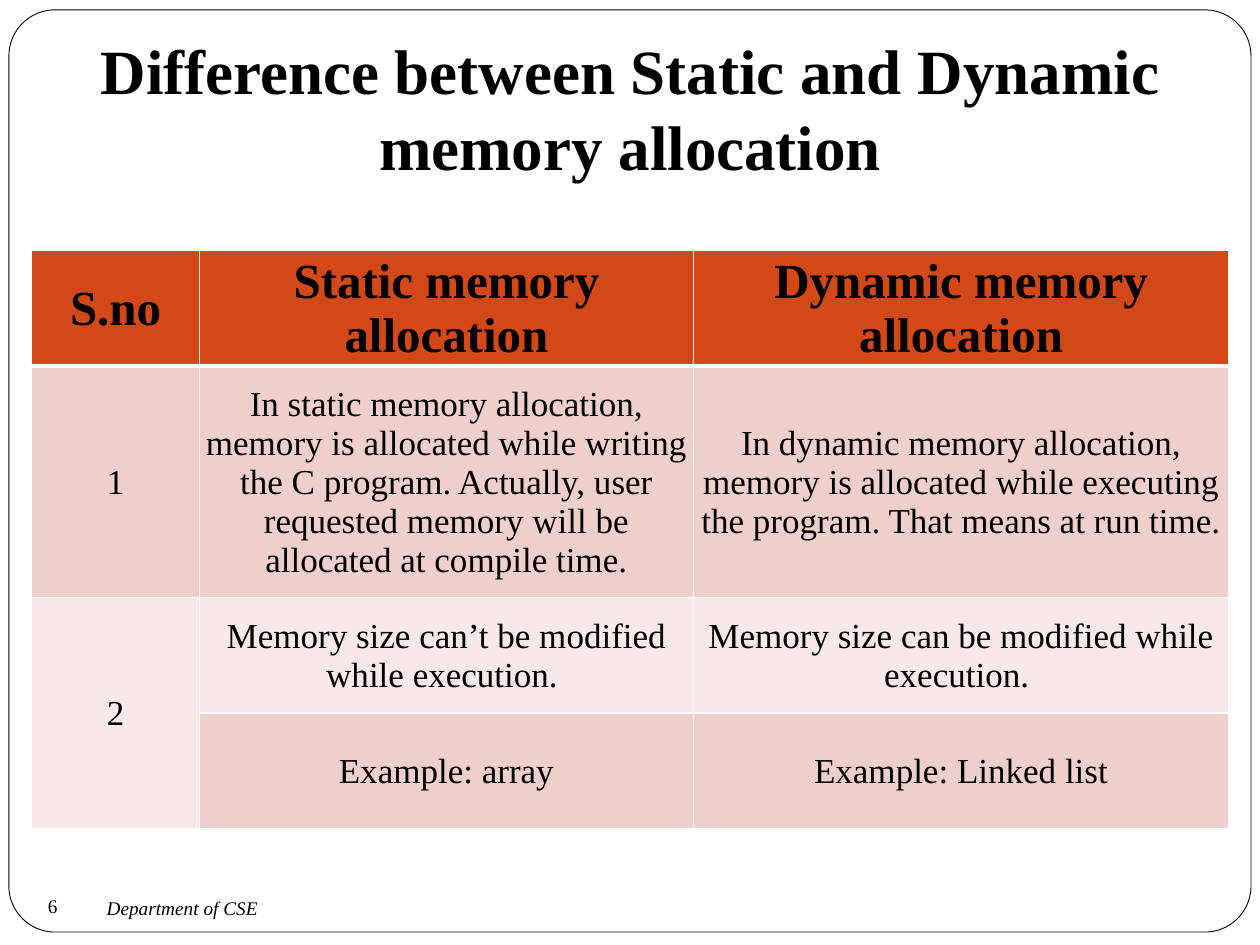
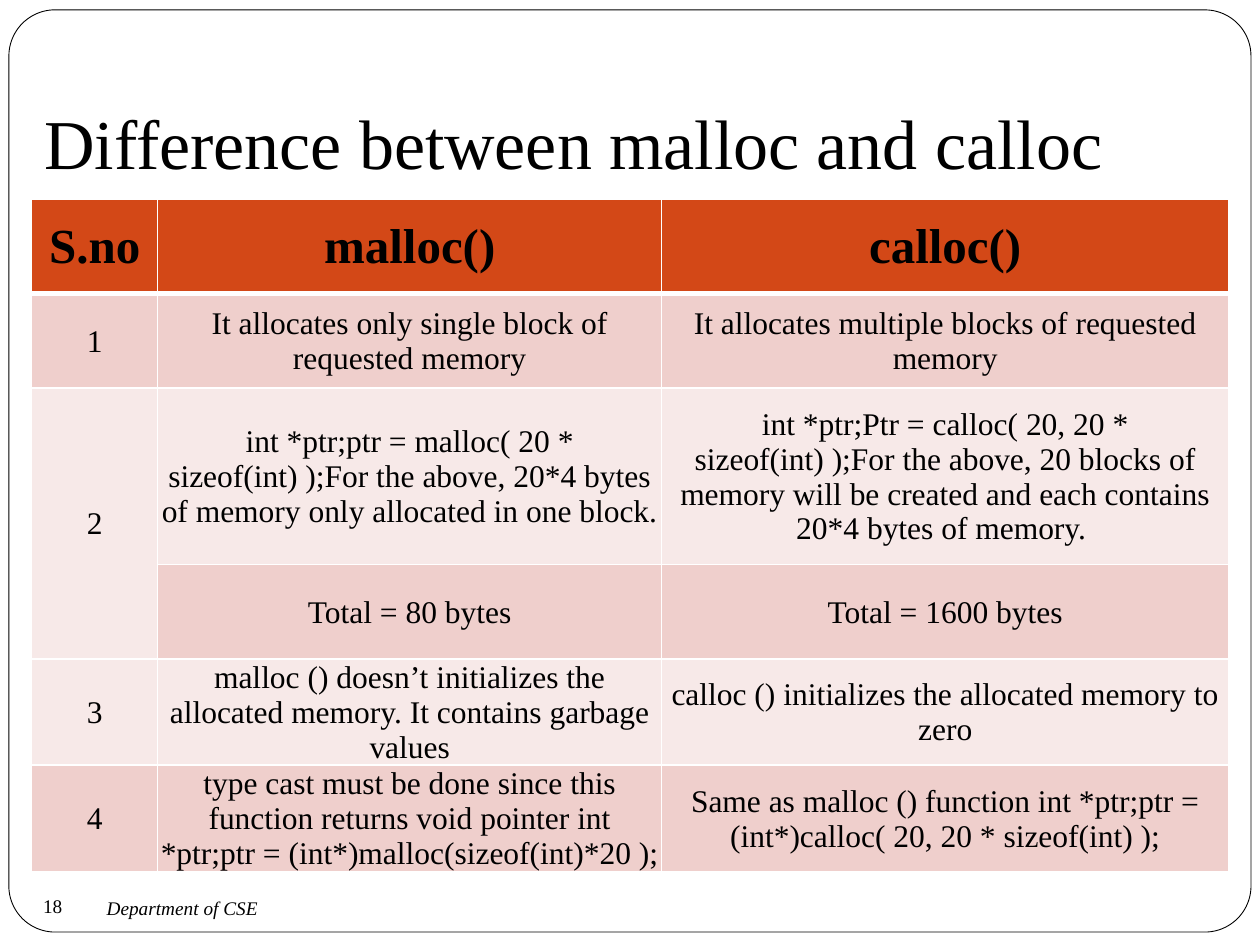
from dataclasses import dataclass

from lxml import etree
from pptx import Presentation
from pptx.dml.color import RGBColor
from pptx.enum import shapes, text
from pptx.oxml.ns import qn
from pptx.util import Cm, Pt

FONT = "Times New Roman"
BLACK, WHITE = "000000", "FFFFFF"
HEADER_FILL = "D34817"
BAND_FILLS = ("F7E9E8", "EFCFCC")
LEFT, WIDTH = 0.64, 24.13
HEADER_SIZE, FOOTER_SIZE = 28, 11
CENTER, MIDDLE = text.PP_ALIGN.CENTER, text.MSO_ANCHOR.MIDDLE


@dataclass(frozen=True)
class Comparison:
    """One slide; a row whose first entry is None continues the number above."""
    number: int
    title: str
    title_size: int
    title_bold: bool
    title_align: text.PP_ALIGN
    table_top: float
    body_size: int
    columns: tuple[float, ...]
    heights: tuple[float, ...]
    rows: tuple[tuple[str | None, str, str], ...]


COMPARISONS = (
    Comparison(
        6, "Difference between Static and Dynamic memory allocation",
        36, True, CENTER, 5.05, 20,
        (3.38, 9.96, 10.79), (2.33, 4.66, 2.33, 2.33),
        (
            ("S.no", "Static memory allocation", "Dynamic memory allocation"),
            ("1",
             "In static memory allocation, memory is allocated while writing the C program. "
             "Actually, user requested memory will be allocated at compile time.",
             "In dynamic memory allocation, memory is allocated while executing the program. "
             "That means at run time."),
            ("2", "Memory size can’t be modified while execution. ",
             "Memory size can be modified while execution. "),
            (None, "Example: array", "Example: Linked list"),
        ),
    ),
    Comparison(
        18, "Difference between malloc and calloc",
        40, False, text.PP_ALIGN.LEFT, 4.02, 18,
        (2.54, 10.16, 11.43), (1.9, 1.9, 3.56, 1.9, 1.9, 2.15),
        (
            ("S.no", "malloc()", "calloc()"),
            ("1", "It allocates only single block of requested memory",
             "It allocates multiple blocks of requested memory"),
            ("2",
             "int *ptr;ptr = malloc( 20 * sizeof(int) );For the above, 20*4 bytes of memory "
             "only allocated in one block. ",
             "int *ptr;Ptr = calloc( 20, 20 * sizeof(int) );For the above, 20 blocks of memory "
             "will be created and each contains 20*4 bytes of memory. "),
            (None, "Total = 80 bytes", "Total = 1600 bytes"),
            ("3",
             "malloc () doesn’t initializes the allocated memory. It contains garbage values",
             "calloc () initializes the allocated memory to zero"),
            ("4",
             "type cast must be done since this function returns void pointer "
             "int *ptr;ptr = (int*)malloc(sizeof(int)*20 );",
             "Same as malloc () function int *ptr;ptr = (int*)calloc( 20, 20 * sizeof(int) );"),
        ),
    ),
)


def rgb(value: str) -> RGBColor:
    return RGBColor.from_string(value)


def write(frame, content: str, size: int, align=text.PP_ALIGN.LEFT,
          bold: bool = False, italic: bool = False) -> None:
    frame.text = content
    paragraph = frame.paragraphs[0]
    paragraph.alignment = align
    font = paragraph.runs[0].font
    font.name, font.size = FONT, Pt(size)
    font.bold, font.italic = bold, italic
    font.color.rgb = rgb(BLACK)


def set_margins(target, left: float, top: float, right: float, bottom: float) -> None:
    target.margin_left, target.margin_top = Cm(left), Cm(top)
    target.margin_right, target.margin_bottom = Cm(right), Cm(bottom)


def add_title(slide, comparison: Comparison) -> None:
    title = slide.shapes.title
    title.left, title.top = Cm(LEFT), Cm(0.76)
    title.width, title.height = Cm(WIDTH), Cm(3.18)
    frame = title.text_frame
    write(frame, comparison.title, comparison.title_size,
          comparison.title_align, comparison.title_bold)
    frame.word_wrap = True
    frame.auto_size = text.MSO_AUTO_SIZE.NONE
    frame.vertical_anchor = text.MSO_ANCHOR.BOTTOM
    set_margins(frame, 0.25, 0.13, 0.25, 0.25)


def add_border(slide) -> None:
    """Rounded page outline, placed behind the title."""
    border = slide.shapes.add_shape(shapes.MSO_SHAPE.ROUNDED_RECTANGLE,
                                    Cm(0.18), Cm(0.2), Cm(25.04), Cm(18.59))
    border.adjustments[0] = 0.05
    border.shadow.inherit = False
    border.fill.solid()
    border.fill.fore_color.rgb = rgb(WHITE)
    border.line.color.rgb = rgb(BLACK)
    border.line.width = Pt(0.5)
    slide.shapes.title.element.addprevious(border.element)


def add_footer(slide, number: int) -> None:
    badge = slide.shapes.add_shape(shapes.MSO_SHAPE.OVAL,
                                   Cm(0.43), Cm(17.78), Cm(1.27), Cm(0.97))
    badge.shadow.inherit = False
    badge.fill.background()
    badge.line.fill.background()
    write(badge.text_frame, str(number), FOOTER_SIZE, CENTER)
    badge.text_frame.word_wrap = False
    badge.text_frame.vertical_anchor = MIDDLE
    set_margins(badge.text_frame, 0, 0, 0, 0)

    department = slide.shapes.add_textbox(Cm(1.9), Cm(17.98), Cm(11), Cm(0.64)).text_frame
    write(department, "Department of CSE", FOOTER_SIZE, italic=True)
    department.word_wrap = True
    department.vertical_anchor = MIDDLE


def set_cell_borders(cell, top: int, bottom: int) -> None:
    properties = cell._tc.get_or_add_tcPr()
    for position, (side, points) in enumerate(
            (("L", 1), ("R", 1), ("T", top), ("B", bottom))):
        line = etree.Element(qn(f"a:ln{side}"), w=str(Pt(points)))
        fill = etree.SubElement(line, qn("a:solidFill"))
        etree.SubElement(fill, qn("a:srgbClr"), val=WHITE)
        properties.insert(position, line)


def add_comparison_table(slide, comparison: Comparison) -> None:
    table = slide.shapes.add_table(
        len(comparison.rows), len(comparison.columns), Cm(LEFT), Cm(comparison.table_top),
        Cm(WIDTH), Cm(sum(comparison.heights))).table
    table.horz_banding = False
    for column, width in zip(table.columns, comparison.columns):
        column.width = Cm(width)
    for row_index, entries in enumerate(comparison.rows):
        table.rows[row_index].height = Cm(comparison.heights[row_index])
        is_header = row_index == 0
        for column_index, entry in enumerate(entries):
            cell = table.cell(row_index, column_index)
            set_cell_borders(cell, 3 if row_index == 1 else 1, 3 if is_header else 1)
            if entry is None:
                table.cell(row_index - 1, column_index).merge(cell)
                continue
            cell.fill.solid()
            cell.fill.fore_color.rgb = rgb(
                HEADER_FILL if is_header else BAND_FILLS[row_index % 2])
            cell.vertical_anchor = MIDDLE
            set_margins(cell, 0.03, 0.03, 0.03, 0)
            write(cell.text_frame, entry, HEADER_SIZE if is_header else comparison.body_size,
                  CENTER, is_header)


def main() -> None:
    deck = Presentation()
    deck.slide_width, deck.slide_height = Cm(25.4), Cm(19.05)
    title_only = deck.slide_layouts[5]
    for comparison in COMPARISONS:
        slide = deck.slides.add_slide(title_only)
        add_border(slide)
        add_title(slide, comparison)
        add_comparison_table(slide, comparison)
        add_footer(slide, comparison.number)
    deck.save("out.pptx")


if __name__ == "__main__":
    main()
